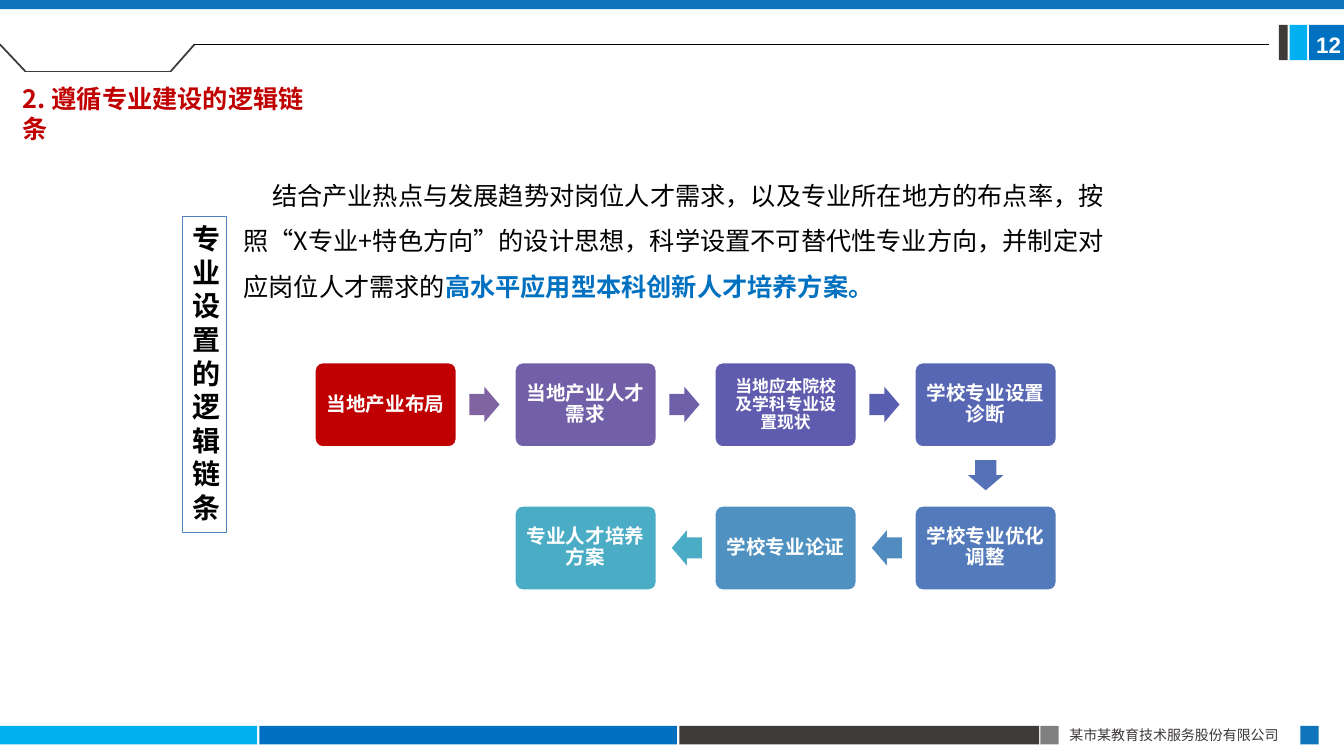
from dataclasses import dataclass
from typing import Optional

from lxml.etree import SubElement
from pptx import Presentation
from pptx.dml.color import RGBColor
from pptx.enum.shapes import MSO_CONNECTOR, MSO_SHAPE
from pptx.enum.text import MSO_ANCHOR, PP_ALIGN
from pptx.oxml.ns import qn
from pptx.util import Cm, Pt

CJK_FONT = "Noto Sans CJK SC"
WHITE = RGBColor(0xFF, 0xFF, 0xFF)
BLACK = RGBColor(0, 0, 0)
RED = RGBColor(0xC0, 0, 0)
BLUE = RGBColor(0, 0x70, 0xC0)
BAND_BLUE = RGBColor(0x10, 0x74, 0xBB)
SKY = RGBColor(0, 0xB0, 0xF0)
CHARCOAL = RGBColor(0x3E, 0x3A, 0x39)
GREY = RGBColor(0x80, 0x80, 0x80)
FRAME_BLUE = RGBColor(0x4F, 0x81, 0xBD)
PURPLE = RGBColor(0x80, 0x64, 0xA2)
TEAL = RGBColor(0x4B, 0xAC, 0xC6)


@dataclass
class Bar:
    left: float
    top: float
    width: float
    height: float
    color: RGBColor


@dataclass
class Rule:
    start: tuple[float, float]
    end: tuple[float, float]
    color: RGBColor
    weight: float


@dataclass
class Step:
    text: str
    column: int
    row: int
    color: RGBColor
    arrow_color: Optional[RGBColor] = None
    direction: int = 0
    size: int = 14


BARS = [
    Bar(0, 0, 33.87, 0.23, BAND_BLUE),
    # Page number badge
    Bar(32.23, 0.63, 0.22, 0.89, CHARCOAL),
    Bar(32.5, 0.63, 0.44, 0.89, SKY),
    Bar(32.99, 0.63, 0.88, 0.89, BLUE),
    # Footer
    Bar(0, 18.29, 6.48, 0.47, SKY),
    Bar(6.54, 18.29, 10.52, 0.47, BLUE),
    Bar(17.12, 18.29, 9.07, 0.47, CHARCOAL),
    Bar(26.22, 18.29, 0.46, 0.47, GREY),
    Bar(32.77, 18.29, 0.46, 0.47, BAND_BLUE),
]

RULES = [
    Rule((0, 1.12), (0.64, 1.8), CHARCOAL, 1.25),
    Rule((0.64, 1.8), (4.3, 1.8), CHARCOAL, 1.25),
    Rule((4.3, 1.8), (4.9, 1.12), CHARCOAL, 1.25),
    Rule((4.9, 1.12), (31.98, 1.12), BLACK, 0.5),
]

STEPS = [
    Step("当地产业布局", 0, 0, RED, PURPLE),
    Step("当地产业人才需求", 1, 0, RGBColor(0x71, 0x60, 0xA8), RGBColor(0x6E, 0x5F, 0xA9)),
    Step("当地应本院校\n及学科专业设\n置现状", 2, 0, RGBColor(0x5F, 0x5B, 0xAE),
         RGBColor(0x5A, 0x5E, 0xB1), size=12),
    Step("学校专业设置诊断", 3, 0, RGBColor(0x57, 0x67, 0xB4), RGBColor(0x55, 0x72, 0xB8), 90),
    Step("学校专业优化调整", 3, 1, RGBColor(0x53, 0x7A, 0xBA), RGBColor(0x50, 0x8C, 0xBF), 180),
    Step("学校专业论证", 2, 1, RGBColor(0x4F, 0x91, 0xC0), TEAL, 180),
    Step("专业人才培养方案", 1, 1, TEAL),
]

FLOW_LEFT, FLOW_TOP = 7.92, 9.12
COLUMN_PITCH, ROW_PITCH = 5.04, 3.61
CARD_WIDTH, CARD_HEIGHT = 3.6, 2.16
ARROW_WIDTH, ARROW_HEIGHT = 0.76, 0.89
# Arrow offset from the top left corner of its card, by direction
ARROW_OFFSETS = {0: (3.91, 0.63), 90: (1.42, 2.41), 180: (-1.07, 0.63)}


def style_span(span, size: float, color: RGBColor, bold: bool = False, name: str = CJK_FONT) -> None:
    span.font.size = Pt(size)
    span.font.bold = bold
    span.font.color.rgb = color
    span.font.name = name
    SubElement(span.font._element, qn("a:ea"), typeface=name)


def add_solid(page, kind, left: float, top: float, width: float, height: float, color: RGBColor):
    shape = page.shapes.add_shape(kind, Cm(left), Cm(top), Cm(width), Cm(height))
    shape.shadow.inherit = False
    shape.fill.solid()
    shape.fill.fore_color.rgb = color
    shape.line.fill.background()
    return shape


def add_rule(page, rule: Rule) -> None:
    line = page.shapes.add_connector(
        MSO_CONNECTOR.STRAIGHT, *map(Cm, rule.start), *map(Cm, rule.end))
    line.line.color.rgb = rule.color
    line.line.width = Pt(rule.weight)
    SubElement(line._element.spPr, qn("a:effectLst"))


def add_text(page, text: str, left: float, top: float, width: float, height: float,
             size: float, color: RGBColor, bold: bool = False, name: str = CJK_FONT):
    box = page.shapes.add_textbox(Cm(left), Cm(top), Cm(width), Cm(height))
    box.text_frame.word_wrap = True
    box.text_frame.text = text
    style_span(box.text_frame.paragraphs[0].runs[0], size, color, bold, name)
    return box


def add_step(page, step: Step) -> None:
    left = FLOW_LEFT + step.column * COLUMN_PITCH
    top = FLOW_TOP + step.row * ROW_PITCH
    card = add_solid(page, MSO_SHAPE.ROUNDED_RECTANGLE, left, top, CARD_WIDTH, CARD_HEIGHT, step.color)
    card.adjustments[0] = 0.1
    card.line.color.rgb = WHITE
    card.line.width = Pt(2)
    frame = card.text_frame
    frame.word_wrap = True
    frame.vertical_anchor = MSO_ANCHOR.MIDDLE
    frame.margin_left = frame.margin_right = Cm(0.2)
    frame.margin_top = frame.margin_bottom = Cm(0.2)
    frame.text = step.text
    for para in frame.paragraphs:
        para.alignment = PP_ALIGN.CENTER
        para.line_spacing = 0.9
        style_span(para.runs[0], step.size, WHITE, True)
    if step.arrow_color is not None:
        shift_x, shift_y = ARROW_OFFSETS[step.direction]
        arrow = add_solid(page, MSO_SHAPE.RIGHT_ARROW, left + shift_x, top + shift_y,
                          ARROW_WIDTH, ARROW_HEIGHT, step.arrow_color)
        arrow.adjustments[0] = 0.6
        arrow.adjustments[1] = 0.5
        arrow.rotation = step.direction


def main() -> None:
    deck = Presentation()
    deck.slide_width, deck.slide_height = Cm(33.87), Cm(19.05)
    page = deck.slides.add_slide(deck.slide_layouts[6])

    # Page frame
    for bar in BARS:
        add_solid(page, MSO_SHAPE.RECTANGLE, bar.left, bar.top, bar.width, bar.height, bar.color)
    for rule in RULES:
        add_rule(page, rule)
    add_text(page, "某市某教育技术服务股份有限公司", 26.7, 18.19, 6.1, 0.69, 10, CHARCOAL)
    number = add_text(page, "12", 32.92, 0.66, 0.95, 0.94, 16, WHITE, True, "Arial")
    number.text_frame.margin_right = 0

    # Flow of steps
    for step in STEPS:
        add_step(page, step)

    # Introduction
    intro = add_text(
        page, "结合产业热点与发展趋势对岗位人才需求，以及专业所在地方的布点率，按照“X专业+特色方向”的设计思想，"
        "科学设置不可替代性专业方向，并制定对应岗位人才需求的", 5.89, 4.04, 22.53, 4.88, 18, BLACK)
    para = intro.text_frame.paragraphs[0]
    para.line_spacing = 1.5
    para._p.get_or_add_pPr().set("indent", str(Cm(0.72)))
    emphasis = para.add_run()
    emphasis.text = "高水平应用型本科创新人才培养方案。"
    style_span(emphasis, 18, BLUE, True)

    # Headings
    banner = add_text(page, "专业设置的逻辑链条", 4.6, 5.46, 1.1, 7.95, 20, BLACK, True)
    banner.line.color.rgb = FRAME_BLUE
    banner.line.width = Pt(0.75)
    add_text(page, "2. 遵循专业建设的逻辑链条", 0.33, 1.98, 8.2, 1.02, 18, RED, True)

    deck.save("out.pptx")


if __name__ == "__main__":
    main()
